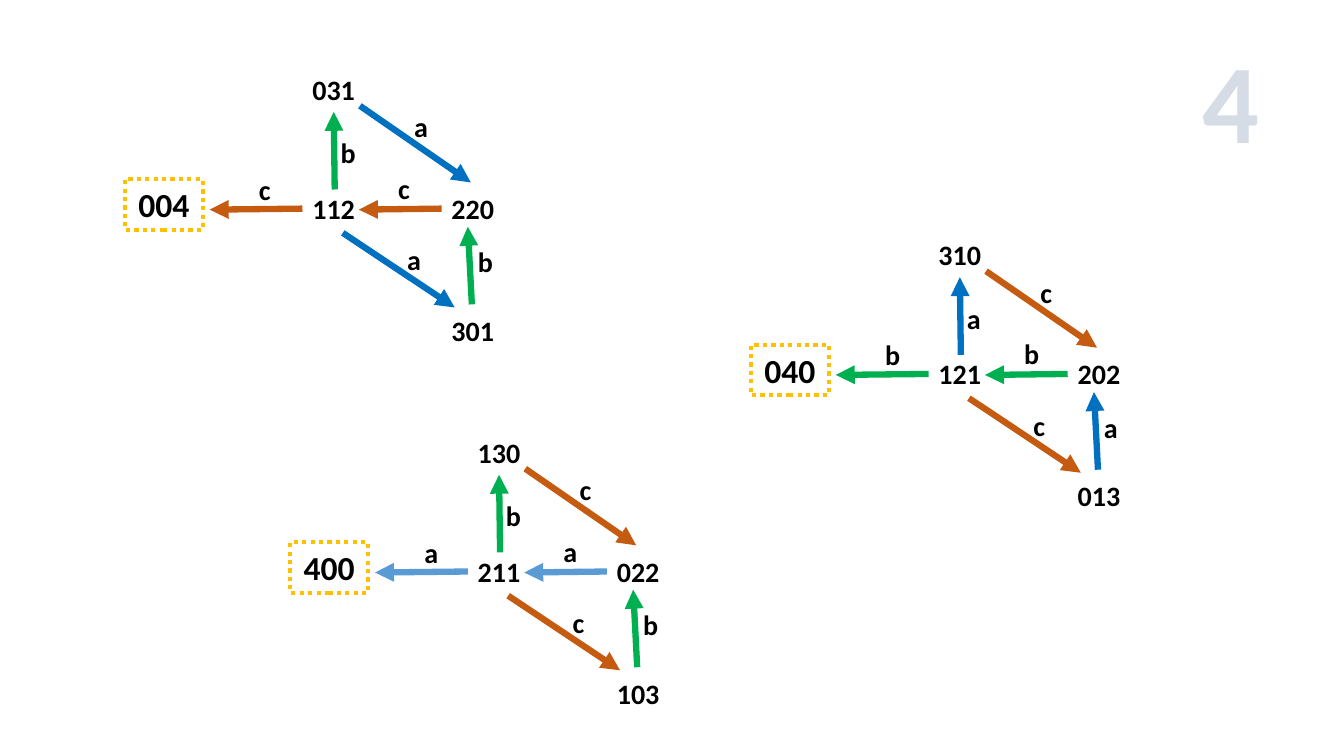
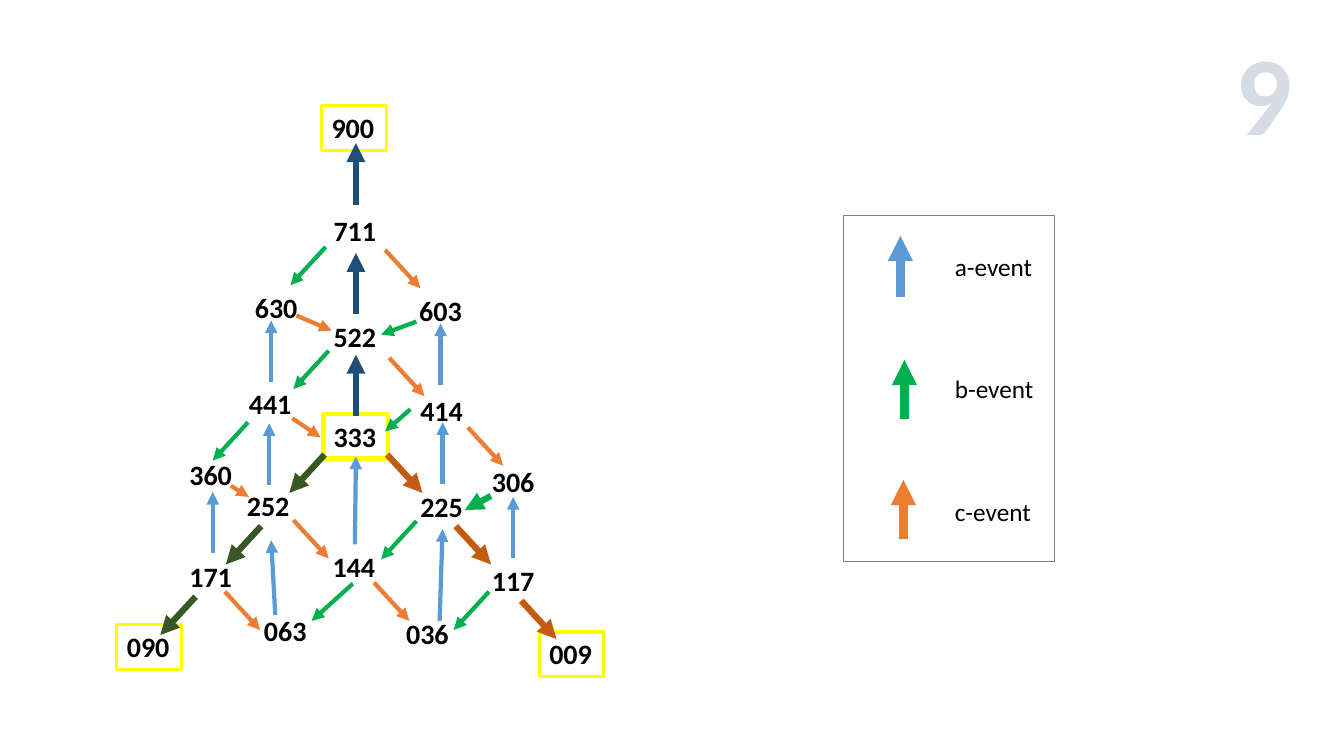
from pptx import Presentation
from pptx.dml.color import RGBColor
from pptx.enum.dml import MSO_LINE_DASH_STYLE as Dash
from pptx.enum.shapes import MSO_CONNECTOR as Conn, MSO_SHAPE as Shape
from pptx.enum.text import MSO_ANCHOR as Anchor, PP_ALIGN as Align
from pptx.oxml.ns import qn
from pptx.util import Inches, Pt
from lxml.etree import SubElement

FONT = "Calibri"
BLACK, PALE, GREY = "000000", "D6DCE5", "7F7F7F"
GOLD, YELLOW = "FFC000", "FFFF00"
BLUE, SKY, NAVY = "0070C0", "5B9BD5", "1F4E79"
GREEN, FOREST = "00B050", "385723"
ORANGE, RUST = "ED7D31", "C55A11"

KITE_NODES = [(1.76, 0.07), (1.76, -1.11), (3.14, 0.07), (3.14, 1.28)]
KITE_ARROWS = {
    "across": [((1.76, 0.29), (0.84, 0.3), (1.23, -0.12)),
               ((3.14, 0.29), (2.32, 0.3), (2.61, -0.13))],
    "up": [((2.08, 0.1), (2.07, -0.67), (2.04, -0.48)),
           ((3.44, 1.24), (3.4, 0.47), (3.4, 0.6))],
    "down": [((2.16, 0.53), (3.27, 1.27), (2.7, 0.58)),
             ((2.33, -0.73), (3.43, 0.03), (2.77, -0.74))],
}
KITES = [
    ((2.88, 5.38), "400", ["211", "130", "022", "103"],
     {"across": ("a", SKY), "up": ("b", GREEN), "down": ("c", RUST)}),
    ((7.45, 3.42), "040", ["121", "310", "202", "013"],
     {"across": ("b", GREEN), "up": ("a", BLUE), "down": ("c", RUST)}),
    ((1.24, 1.78), "004", ["112", "031", "220", "301"],
     {"across": ("c", RUST), "up": ("b", GREEN), "down": ("a", BLUE)}),
]

PYRAMID_NODES = {
    "900": (3.19, 1.05), "711": (3.21, 2.07), "630": (2.43, 2.83),
    "603": (4.06, 2.86), "522": (3.21, 3.12), "441": (2.37, 3.79),
    "414": (4.07, 3.85), "333": (3.21, 4.11), "360": (1.78, 4.49),
    "306": (4.78, 4.56), "252": (2.35, 4.8), "225": (4.07, 4.81),
    "144": (3.2, 5.4), "171": (1.78, 5.5), "117": (4.78, 5.54),
    "063": (2.52, 6.04), "036": (3.93, 6.07), "090": (1.16, 6.2),
    "009": (5.35, 6.27),
}
FRAMES = {"900": 2.25, "333": 3, "090": 2.25, "009": 2.25}
UP, LEFT, RIGHT = (0, -0.61), (-0.35, 0.38), (0.35, 0.38)
PYRAMID_ARROWS = [
    (NAVY, 4.5, UP, [(3.53, 4.13), (3.53, 3.12), (3.53, 2.03)]),
    (FOREST, 4.5, LEFT, [(1.94, 5.92), (2.59, 5.22), (3.22, 4.51)]),
    (RUST, 4.5, RIGHT, [(3.84, 4.51), (4.52, 5.22), (5.17, 5.96)]),
    (SKY, 3, UP, [(4.39, 4.8), (4.37, 3.82), (5.09, 5.54), (2.67, 4.81),
                  (2.11, 5.49), (2.69, 3.79)]),
    (SKY, 3, (0.01, -0.87), [(3.52, 5.4)]),
    (SKY, 3, (0.03, -0.91), [(4.36, 6.16)]),
    (SKY, 3, (-0.04, -0.74), [(2.73, 6.1)]),
    (GREEN, 3, LEFT, [(4.85, 5.87), (2.46, 4.19), (4.13, 5.17),
                      (3.26, 3.48), (3.23, 2.45)]),
    (GREEN, 3, (-0.25, 0.22), [(4.07, 4.06)]),
    (GREEN, 3, (-0.35, 0.13), [(4.13, 3.19)]),
    (GREEN, 3, (-0.41, 0.37), [(3.5, 5.79)]),
    (GREEN, 4.5, (-0.26, 0.14), [(4.87, 4.92)]),
    (ORANGE, 3, RIGHT, [(3.86, 3.55), (3.82, 2.48), (4.64, 4.24),
                        (2.91, 5.16), (3.71, 5.78), (2.23, 5.87)]),
    (ORANGE, 3, (0.18, 0.11), [(2.29, 4.82)]),
    (ORANGE, 3, (0.28, 0.19), [(2.9, 4.15)]),
    (ORANGE, 3, (0.35, 0.15), [(2.94, 3.13)]),
]
LEGEND = [("a-event", SKY, (8.93, 2.95), -0.61),
          ("b-event", GREEN, (8.97, 4.16), -0.59),
          ("c-event", ORANGE, (8.96, 5.35), -0.59)]


def rgb(value):
    return RGBColor.from_string(value)


def shift(start, step):
    return start[0] + step[0], start[1] + step[1]


def style(p, size, color=BLACK, bold=True):
    for r in p.runs:
        r.font.name, r.font.size, r.font.bold = FONT, Pt(size), bold
        r.font.color.rgb = rgb(color)


def outline(sp, color, width):
    sp.line.color.rgb = rgb(color)
    sp.line.width = Pt(width)


def add_slide(number, left, top):
    s = prs.slides.add_slide(prs.slide_layouts[5])
    title = s.shapes.title
    title.left, title.top = Inches(left), Inches(top)
    title.width, title.height = Inches(0.77), Inches(1.45)
    tf = title.text_frame
    tf.text, tf.word_wrap, tf.vertical_anchor = number, False, Anchor.MIDDLE
    tf.paragraphs[0].alignment = Align.CENTER
    style(tf.paragraphs[0], 80, PALE)
    return s


def label(s, text, at, width, height=0.44, size=20, align=Align.LEFT):
    sp = s.shapes.add_textbox(*map(Inches, (*at, width, height)))
    tf = sp.text_frame
    tf.text, tf.word_wrap = text, True
    tf.paragraphs[0].alignment = align
    style(tf.paragraphs[0], size)
    return sp


def arrow(s, start, end, color, width):
    line = s.shapes.add_connector(Conn.STRAIGHT, *map(Inches, (*start, *end)))
    outline(line, color, width)
    SubElement(line.line._get_or_add_ln(), qn("a:tailEnd"), type="triangle")
    SubElement(line._element.spPr, qn("a:effectLst"))


def kite(s, origin, goal, names, events):
    box = label(s, goal, origin, 0.77, 0.5, 24, Align.CENTER)
    outline(box, GOLD, 3)
    box.line.dash_style = Dash.ROUND_DOT
    for name, offset in zip(names, KITE_NODES):
        label(s, name, shift(origin, offset), 0.77)
    for way, (event, color) in events.items():
        for start, end, at in KITE_ARROWS[way]:
            arrow(s, shift(origin, start), shift(origin, end), color, 4.5)
            label(s, event, shift(origin, at), 0.41)


def legend(s):
    sp = s.shapes.add_shape(Shape.RECTANGLE, *map(Inches, (8.37, 2.14, 2.09, 3.43)))
    sp.shadow.inherit = False
    sp.fill.background()
    outline(sp, GREY, 0.75)
    tf = sp.text_frame
    tf.margin_left, tf.vertical_anchor = Inches(1.1), Anchor.MIDDLE
    tf.text = "\n".join(name for name, *_ in LEGEND)
    for i, (p, (_, color, start, rise)) in enumerate(zip(tf.paragraphs, LEGEND)):
        p.alignment = Align.LEFT
        p.space_before = Pt(66 if i else 0)
        style(p, 18, bold=False)
        arrow(s, start, shift(start, (0, rise)), color, 6)


prs = Presentation()
prs.slide_width, prs.slide_height = Inches(13.33), Inches(7.5)

s = add_slide("4", 11.82, 0.25)
for parts in KITES:
    kite(s, *parts)

s = add_slide("9", 12.15, 0.17)
for name, at in PYRAMID_NODES.items():
    sp = label(s, name, at, 0.64)
    if name in FRAMES:
        outline(sp, YELLOW, FRAMES[name])
for color, width, step, starts in PYRAMID_ARROWS:
    for start in starts:
        arrow(s, start, shift(start, step), color, width)
legend(s)

prs.save("out.pptx")
